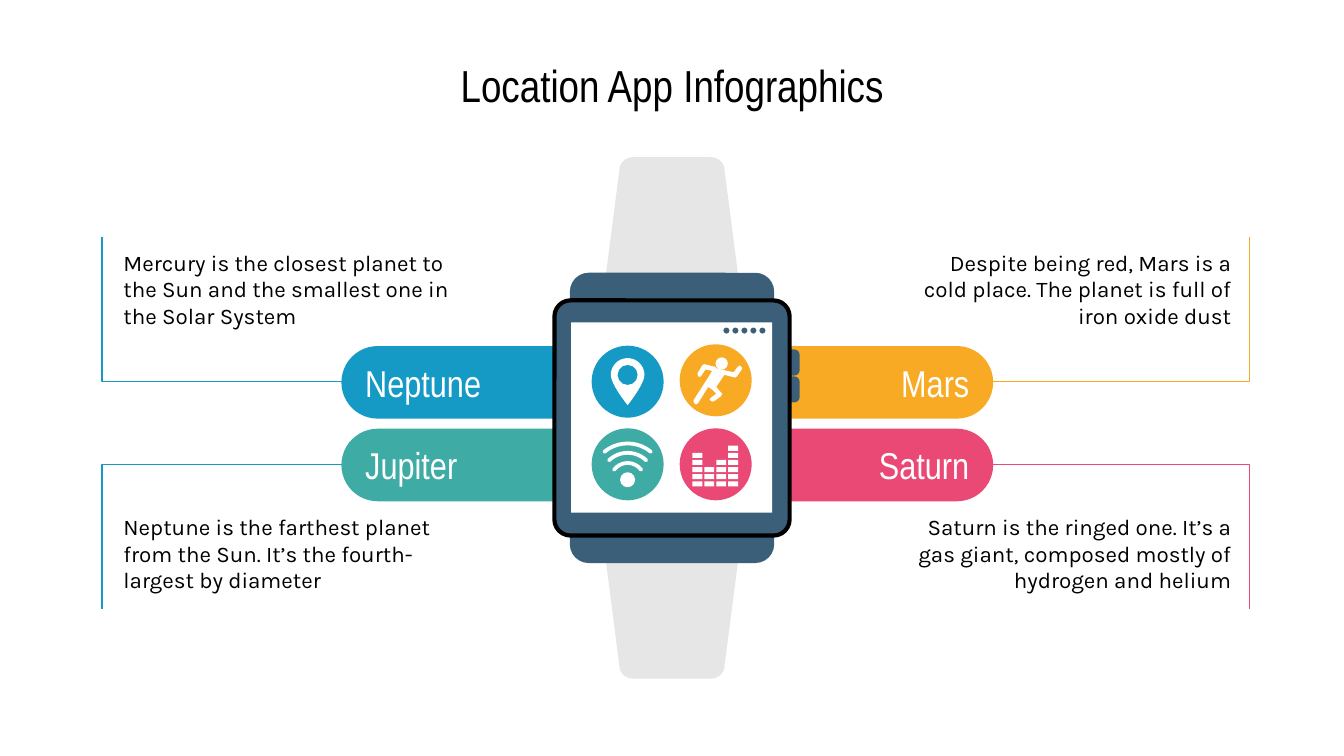
from lxml import etree
from pptx import Presentation
from pptx import util as u
from pptx.dml.color import RGBColor
from pptx.enum import shapes, text
from pptx.oxml import ns

# The slide is a grid of 100 columns; rows have the same pitch
COLUMNS, ROWS = 100, 56.25
UNIT = u.Inches(0.1)
MIDDLE = COLUMNS / 2

BLACK = RGBColor(0x00, 0x00, 0x00)
WHITE = RGBColor(0xFF, 0xFF, 0xFF)
GREY = RGBColor(0xE6, 0xE6, 0xE6)
SLATE = RGBColor(0x3C, 0x5F, 0x79)
BLUE = RGBColor(0x15, 0x9A, 0xC6)
TEAL = RGBColor(0x3F, 0xAB, 0xA5)
ORANGE = RGBColor(0xF8, 0xAA, 0x25)
PINK = RGBColor(0xE9, 0x49, 0x74)

HEADING_FONT, BODY_FONT = "Arial Narrow", "Karla"
LEFT, CENTER, RIGHT = (text.PP_ALIGN.LEFT, text.PP_ALIGN.CENTER,
                       text.PP_ALIGN.RIGHT)
RECTANGLE = shapes.MSO_SHAPE.RECTANGLE
ROUNDED = shapes.MSO_SHAPE.ROUNDED_RECTANGLE
OVAL = shapes.MSO_SHAPE.OVAL

# Planet, description, pill colour, leader colour, right side?, lower row?
PLANETS = [
    ("Mars", "Despite being red, Mars is a cold place. "
     "The planet is full of iron oxide dust", ORANGE, ORANGE, True, False),
    ("Saturn", "Saturn is the ringed one. It’s a gas giant, "
     "composed mostly of hydrogen and helium", PINK, PINK, True, True),
    ("Jupiter", "Neptune is the farthest planet from the Sun. "
     "It’s the fourth-largest by diameter", TEAL, BLUE, False, True),
    ("Neptune", "Mercury is the closest planet to the Sun "
     "and the smallest one in the Solar System", BLUE, BLUE, False, False),
]
EQUALIZER_LEVELS = [5, 3, 4, 6]
RUNNER_BODY = [
    (52.4, 27.1), (52.25, 27.2), (51.9, 27.8), (51.95, 28), (52.1, 28.05),
    (52.2, 27.95), (52.5, 27.5), (53, 27.6), (52.6, 28.25), (52.5, 28.4),
    (51.6, 29.8), (51.65, 30), (51.8, 30.1), (51.95, 30), (52.7, 28.8),
    (53, 29), (53.3, 29.3), (52.9, 29.6), (52.8, 29.75), (53, 29.9),
    (53.15, 29.85), (53.65, 29.5), (53.75, 29.3), (53.6, 29.15),
    (53.3, 28.8), (53.9, 27.9), (54.7, 28.1), (54.85, 28), (55.2, 27.5),
    (55.2, 27.35), (55.05, 27.2), (54.9, 27.3), (54.6, 27.7), (54.1, 27.6),
    (53.3, 27.4), (53.2, 27.3),
]


def grid(*values):
    return [int(round(value * UNIT)) for value in values]


def add_block(slide, kind, left, top, width, height, color, radius=None):
    shape = slide.shapes.add_shape(kind, *grid(left, top, width, height))
    shape.shadow.inherit = False
    shape.fill.solid()
    shape.fill.fore_color.rgb = color
    shape.line.fill.background()
    if radius is not None:
        shape.adjustments[0] = radius / min(width, height)
    return shape


def add_disc(slide, x, y, radius, color):
    return add_block(slide, OVAL, x - radius, y - radius,
                     2 * radius, 2 * radius, color)


def add_outline(slide, points, fill=None, line=None):
    """Closed filled area, or an open line when there is no fill."""
    points = [grid(*point) for point in points]
    builder = slide.shapes.build_freeform(*points[0], scale=1.0)
    builder.add_line_segments(points[1:], close=fill is not None)
    shape = builder.convert_to_shape()
    shape.shadow.inherit = False
    if fill is not None:
        shape.fill.solid()
        shape.fill.fore_color.rgb = fill
        shape.line.fill.background()
    else:
        shape.fill.background()
        shape.line.color.rgb = line
        shape.line.width = u.Pt(0.75)
    return shape


def curve(start, control_1, control_2, end, steps=12):
    """Points along a cubic curve."""
    points = []
    for step in range(steps + 1):
        t = step / steps
        weights = ((1 - t) ** 3, 3 * t * (1 - t) ** 2,
                   3 * t * t * (1 - t), t ** 3)
        corners = (start, control_1, control_2, end)
        points.append(tuple(sum(weight * corner[axis] for weight, corner
                                in zip(weights, corners)) for axis in (0, 1)))
    return points


def mirrored(points, axis):
    """Points followed by their reflection about a vertical axis."""
    return points + [(2 * axis - x, y) for x, y in reversed(points)]


def write(shape, words, font, size, color, align):
    frame = shape.text_frame
    frame.word_wrap = True
    frame.vertical_anchor = text.MSO_ANCHOR.MIDDLE
    frame.margin_left = frame.margin_right = UNIT
    frame.margin_top = frame.margin_bottom = UNIT
    paragraph = frame.paragraphs[0]
    paragraph.alignment = align
    run = paragraph.add_run()
    run.text = words
    run.font.name = font
    run.font.size = u.Pt(size)
    run.font.color.rgb = color


def add_text(slide, left, top, width, height, *style):
    box = slide.shapes.add_textbox(*grid(left, top, width, height))
    write(box, *style)


def add_planet(slide, name, description, color, leader, on_right, lower):
    align = RIGHT if on_right else LEFT
    row = 34.55 if lower else 28.4
    edge, inner = (92.95, 73) if on_right else (7.6, 38.8)
    end = row + (10.8 if lower else -10.8)
    add_outline(slide, [(inner, row), (edge, row), (edge, end)], line=leader)
    pill = add_block(slide, ROUNDED, 50.1 if on_right else 25.4, row - 2.65,
                     23.8, 5.4, color, radius=2.7)
    write(pill, name, HEADING_FONT, 20, WHITE, align)
    add_text(slide, 66.1 if on_right else 8.2, 38.25 if lower else 18.6,
             26.5, 5.8, description, BODY_FONT, 12, BLACK, align)


def add_watch(slide):
    # Straps: the lower one is the upper one turned over
    side = [(45.1, 20.3)] + curve((46.1, 12.6), (46.1, 12.1),
                                  (46.6, 11.7), (47.1, 11.7))
    strap = mirrored(side, MIDDLE)
    add_outline(slide, strap, fill=GREY)
    add_outline(slide, [(x, 62.2 - y) for x, y in strap], fill=GREY)
    # Buttons, body and case
    for top in (26, 28):
        add_block(slide, ROUNDED, 58, top, 1.5, 1.95, SLATE, radius=0.4)
    add_block(slide, ROUNDED, 42.4, 20.3, 15.2, 21.6, SLATE, radius=1.4)
    case = add_block(slide, ROUNDED, 41.25, 22.35, 17.5, 17.5, SLATE,
                     radius=1.2)
    case.line.color.rgb = BLACK
    case.line.width = u.Pt(2.25)
    # Screen with its row of dots
    add_block(slide, RECTANGLE, 42.5, 24, 14.95, 14.15, WHITE)
    for dot in range(5):
        add_disc(slide, 54.05 + 0.67 * dot, 24.6, 0.22, SLATE)


def add_pin_icon(slide, x, y):
    add_disc(slide, x, y, 2.68, BLUE)
    head = y - 0.5
    side = curve((x, y + 1.75), (x, y + 1.75), (x - 1.25, y + 0.2),
                 (x - 1.25, head))
    side += curve((x - 1.25, head), (x - 1.25, head - 0.69),
                  (x - 0.69, head - 1.25), (x, head - 1.25))
    add_outline(slide, mirrored(side, x), fill=WHITE)
    add_disc(slide, x, head, 0.74, BLUE)


def add_runner_icon(slide, x, y):
    add_disc(slide, x, y, 2.68, ORANGE)
    add_outline(slide, RUNNER_BODY, fill=WHITE)
    add_disc(slide, x + 0.45, y - 1.25, 0.46, WHITE)


def add_wireless_icon(slide, x, y):
    add_disc(slide, x, y, 2.68, TEAL)
    for radius, half_angle in ((2.7, 40), (2, 44), (1.25, 54)):
        arc = add_block(slide, shapes.MSO_SHAPE.ARC, x - radius,
                        y + 1.15 - radius, 2 * radius, 2 * radius, WHITE)
        arc.fill.background()
        # Angles count in 60000ths of a degree, adjustments in 100000ths
        arc.adjustments[0] = (270 - half_angle) * 0.6
        arc.adjustments[1] = (270 + half_angle) * 0.6
        arc.line.color.rgb = WHITE
        arc.line.width = u.Pt(2)
        outline = arc.line._get_or_add_ln()
        outline.set("cap", "rnd")
        etree.SubElement(outline, ns.qn("a:round"))
    add_disc(slide, x, y + 1.15, 0.56, WHITE)


def add_equalizer_icon(slide, x, y):
    add_disc(slide, x, y, 2.68, PINK)
    for column, level in enumerate(EQUALIZER_LEVELS):
        for row in range(level):
            add_block(slide, RECTANGLE, x - 1.73 + 0.89 * column,
                      y + 1.26 - 0.53 * row, 0.74, 0.38, WHITE)


def main():
    presentation = Presentation()
    presentation.slide_width, presentation.slide_height = grid(COLUMNS, ROWS)
    slide = presentation.slides.add_slide(presentation.slide_layouts[6])
    for planet in PLANETS:
        add_planet(slide, *planet)
    add_text(slide, 23.25, 4.2, 53.5, 4.2, "Location App Infographics",
             HEADING_FONT, 24, BLACK, CENTER)
    add_watch(slide)
    add_wireless_icon(slide, 46.7, 34.55)
    add_pin_icon(slide, 46.7, 28.4)
    add_equalizer_icon(slide, 53.25, 34.55)
    add_runner_icon(slide, 53.25, 28.3)
    presentation.save("out.pptx")


if __name__ == "__main__":
    main()
